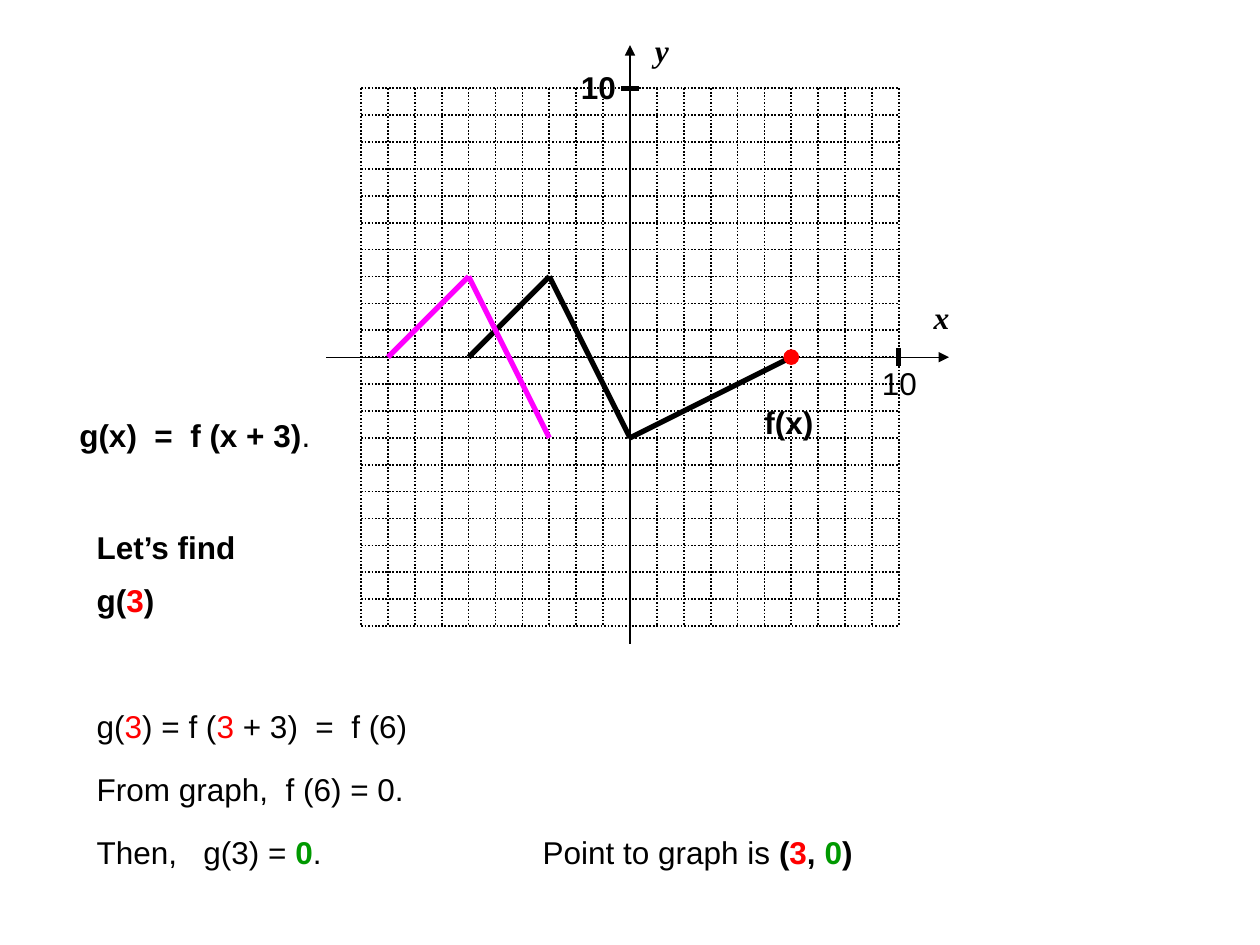
import itertools

import lxml.etree
import pptx
import pptx.dml.color
import pptx.enum.dml
import pptx.enum.shapes
import pptx.enum.text
import pptx.oxml.ns
import pptx.util

Cm = pptx.util.Cm
BLACK, RED, GREEN, MAGENTA = "000000", "FF0000", "009900", "FF00FF"
ORIGIN_X, ORIGIN_Y = 12.7, 7.2
LIMIT = 10
UNIT = 5.42 / LIMIT
F_POINTS = [(-6, 0), (-3, 3), (0, -3), (6, 0)]
G_POINTS = [(-9, 0), (-6, 3), (-3, -3)]


def rgb(value):
    return pptx.dml.color.RGBColor.from_string(value)


def place(x, y):
    return ORIGIN_X + x * UNIT, ORIGIN_Y - y * UNIT


def add_line(shapes, start, end, color=BLACK, width=3.0, dotted=False, arrow=False):
    sp = shapes.add_connector(
        pptx.enum.shapes.MSO_CONNECTOR.STRAIGHT, *map(Cm, (*start, *end))
    )
    sp.line.color.rgb = rgb(color)
    sp.line.width = pptx.util.Pt(width)
    if dotted:
        sp.line.dash_style = pptx.enum.dml.MSO_LINE.ROUND_DOT
    if arrow:
        ln = sp.line._get_or_add_ln()
        lxml.etree.SubElement(ln, pptx.oxml.ns.qn("a:tailEnd"), type="triangle")
    lxml.etree.SubElement(sp._element.spPr, pptx.oxml.ns.qn("a:effectLst"))


def add_polyline(shapes, points, color):
    for start, end in itertools.pairwise(points):
        add_line(shapes, place(*start), place(*end), color)


def add_grid(shapes):
    for i in range(-LIMIT, LIMIT + 1):
        add_line(shapes, place(i, LIMIT), place(i, -LIMIT), width=1, dotted=True)
        add_line(shapes, place(-LIMIT, i), place(LIMIT, i), width=1, dotted=True)


def add_axes(shapes):
    add_line(shapes, (ORIGIN_X, 12.98), (ORIGIN_X, 0.91), width=0.75, arrow=True)
    add_line(shapes, (6.58, ORIGIN_Y), (19.13, ORIGIN_Y), width=0.75, arrow=True)
    tick = 0.18
    x, y = place(LIMIT, 0)
    add_line(shapes, (x, y - tick), (x, y + tick))
    x, y = place(0, LIMIT)
    add_line(shapes, (x - tick, y), (x + tick, y))


def add_point(shapes, x, y, color):
    size = 0.29
    left, top = (c - size / 2 for c in place(x, y))
    sp = shapes.add_shape(
        pptx.enum.shapes.MSO_SHAPE.OVAL, Cm(left), Cm(top), Cm(size), Cm(size)
    )
    sp.shadow.inherit = False
    sp.fill.solid()
    sp.fill.fore_color.rgb = rgb(color)
    sp.line.color.rgb = rgb(color)
    sp.line.width = pptx.util.Pt(0.75)


def add_text(shapes, runs, left, top, width, font="Arial", bold=False, italic=False,
             wrap=False):
    sp = shapes.add_textbox(Cm(left), Cm(top), Cm(width), Cm(1.02))
    tf = sp.text_frame
    tf.word_wrap = wrap
    tf.auto_size = pptx.enum.text.MSO_AUTO_SIZE.SHAPE_TO_FIT_TEXT
    p = tf.paragraphs[0]
    if isinstance(runs, str):
        runs = [(runs,)]
    for text, color, run_bold in ((*run, BLACK, bold)[:3] if len(run) == 1
                                  else (*run, bold)[:3] for run in runs):
        r = p.add_run()
        r.text = text
        r.font.name = font
        r.font.size = pptx.util.Pt(18)
        r.font.bold = run_bold
        r.font.italic = italic
        r.font.color.rgb = rgb(color)


def add_labels(shapes):
    axis = {"font": "Times New Roman", "bold": True, "italic": True}
    add_text(shapes, "y", 12.95, 0.51, 0.79, **axis)
    add_text(shapes, "x", 18.57, 5.89, 0.81, **axis)
    add_text(shapes, "10", 17.53, 7.21, 1.22)
    add_text(shapes, "10", 11.46, 1.24, 1.22, bold=True)
    add_text(shapes, "f(x)", 15.16, 8.0, 1.5, bold=True)


def add_working(shapes):
    left = 1.7
    add_text(shapes, [("g(x)  =  f (x + 3)", BLACK, True), (".",)], 1.35, 8.26, 5.16)
    add_text(shapes, "Let’s find", left, 10.52, 3.33, bold=True)
    add_text(shapes, [("g(",), ("3", RED), (")",)], left, 11.58, 1.68, bold=True)
    add_text(shapes, [("g(",), ("3", RED), (") = f (",), ("3 ", RED),
                      ("+ 3)  =  f (6)",)], left, 14.12, 6.93)
    add_text(shapes, "From graph,  f (6) = 0.", left, 15.39, 7.34, wrap=True)
    add_text(shapes, [("Then,   g(3) = ",), ("0", GREEN, True), (".",)],
             left, 16.66, 5.21)
    add_text(shapes, [("Point to graph is ",), ("(", BLACK, True), ("3", RED, True),
                      (", ", BLACK, True), ("0", GREEN, True), (")", BLACK, True)],
             10.69, 16.66, 6.76)


def main():
    prs = pptx.Presentation()
    prs.slide_width, prs.slide_height = Cm(25.4), Cm(19.05)
    s = prs.slides.add_slide(prs.slide_layouts[6])
    add_polyline(s.shapes.add_group_shape().shapes, F_POINTS, BLACK)
    add_grid(s.shapes.add_group_shape().shapes)
    add_axes(s.shapes)
    add_labels(s.shapes)
    add_point(s.shapes, 6, 0, RED)
    add_polyline(s.shapes, G_POINTS, MAGENTA)
    add_working(s.shapes)
    prs.save("out.pptx")


if __name__ == "__main__":
    main()
